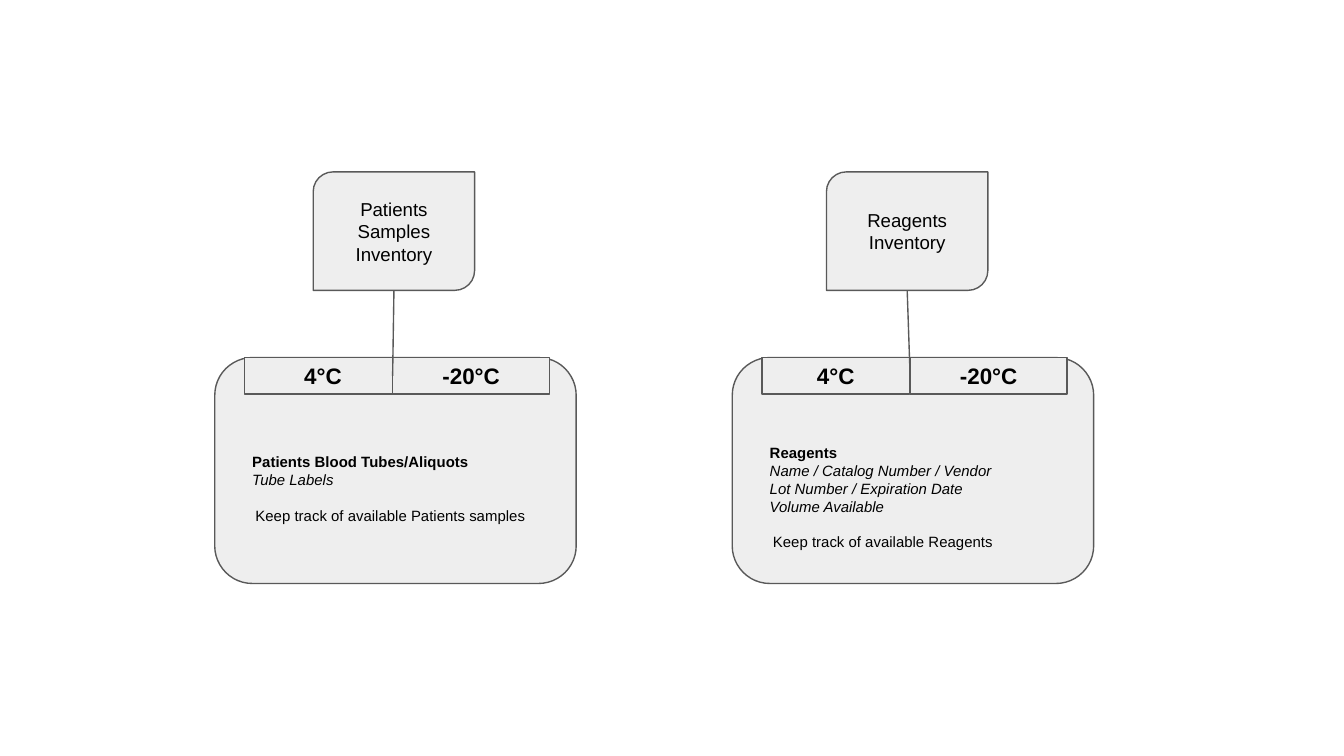
from lxml import etree
from pptx import Presentation
from pptx.dml.color import RGBColor
from pptx.enum import shapes, text
from pptx.oxml import ns
from pptx.util import Cm, Pt

FILL = RGBColor(0xEE, 0xEE, 0xEE)
OUTLINE = RGBColor(0x59, 0x59, 0x59)
BLACK = RGBColor(0, 0, 0)
FONT = "Arial"

# Lengths in centimetres
INVENTORIES = [
    {
        "title": "Patients Samples Inventory",
        "title_left": 5.92,
        "card_left": 4.06,
        "cold_width": 2.97,
        "text_top": 1.59,
        "heading": "Patients Blood Tubes/Aliquots",
        "fields": ["Tube Labels"],
        "purpose": "Keep track of available Patients samples",
    },
    {
        "title": "Reagents Inventory",
        "title_left": 15.62,
        "card_left": 13.84,
        "cold_width": 2.79,
        "text_top": 1.42,
        "heading": "Reagents",
        "fields": [
            "Name / Catalog Number / Vendor",
            "Lot Number / Expiration Date",
            "Volume Available",
        ],
        "purpose": "Keep track of available Reagents",
    },
]

TITLE_TOP, TITLE_WIDTH, TITLE_HEIGHT = 3.25, 3.05, 2.24
CARD_TOP, CARD_WIDTH, CARD_HEIGHT = 6.76, 6.83, 4.27
COLD_OFFSET, FROZEN_OFFSET = 0.56, 3.36
FROZEN_WIDTH, TAB_HEIGHT = 2.97, 0.69
INSET = 0.25
PURPOSE_INDENT = 0.31


def add_box(page, kind, left, top, width, height):
    box = page.shapes.add_shape(kind, Cm(left), Cm(top), Cm(width), Cm(height))
    box.shadow.inherit = False
    box.fill.solid()
    box.fill.fore_color.rgb = FILL
    box.line.color.rgb = OUTLINE
    box.line.width = Pt(0.75)
    frame = box.text_frame
    frame.word_wrap = True
    frame.vertical_anchor = text.MSO_ANCHOR.MIDDLE
    frame.margin_left = frame.margin_right = Cm(INSET)
    frame.margin_top = frame.margin_bottom = Cm(INSET)
    return box


def add_span(para, wording, size, bold=False, italic=False):
    span = para.add_run()
    span.text = wording
    span.font.name = FONT
    span.font.size = Pt(size)
    span.font.bold = bold
    span.font.italic = italic
    span.font.color.rgb = BLACK


def add_label(page, kind, left, top, width, height, wording, size, bold=False):
    """Add a box with one centred line of text."""
    box = add_box(page, kind, left, top, width, height)
    para = box.text_frame.paragraphs[0]
    para.alignment = text.PP_ALIGN.CENTER
    add_span(para, wording, size, bold)
    return box


def add_card(page, inventory):
    card = add_box(page, shapes.MSO_SHAPE.ROUNDED_RECTANGLE,
                   inventory["card_left"], CARD_TOP, CARD_WIDTH, CARD_HEIGHT)
    frame = card.text_frame
    frame.vertical_anchor = text.MSO_ANCHOR.TOP
    frame.margin_top = Cm(inventory["text_top"])
    frame.margin_left = Cm(2 * INSET)

    lines = [(inventory["heading"], True, False)]
    lines += [(field, False, True) for field in inventory["fields"]]
    lines.append((inventory["purpose"], False, False))
    for number, (wording, bold, italic) in enumerate(lines):
        para = frame.add_paragraph() if number else frame.paragraphs[0]
        para.alignment = text.PP_ALIGN.LEFT
        add_span(para, wording, 8, bold, italic)
    frame.margin_left = Cm(INSET)
    for para in frame.paragraphs:
        para._p.get_or_add_pPr().set("marL", str(Cm(INSET)))
    para._p.get_or_add_pPr().set("marL", str(Cm(PURPOSE_INDENT)))
    para.space_before = Pt(9.5)


def join(page, title, tab):
    """Link the bottom of a title to the left side of a tab."""
    line = page.shapes.add_connector(shapes.MSO_CONNECTOR.STRAIGHT, 0, 0, 0, 0)
    line.begin_connect(title, 2)
    line.end_connect(tab, 1)
    line.line.color.rgb = OUTLINE
    line.line.width = Pt(0.75)
    etree.SubElement(line._element.spPr, ns.qn("a:effectLst"))


def add_inventory(page, inventory):
    title = add_label(page, shapes.MSO_SHAPE.ROUND_2_DIAG_RECTANGLE,
                      inventory["title_left"], TITLE_TOP, TITLE_WIDTH,
                      TITLE_HEIGHT, inventory["title"], 10)
    add_card(page, inventory)
    tabs = [
        ("4°C", COLD_OFFSET, inventory["cold_width"]),
        ("-20°C", FROZEN_OFFSET, FROZEN_WIDTH),
    ]
    for wording, offset, width in tabs:
        tab = add_label(page, shapes.MSO_SHAPE.RECTANGLE,
                        inventory["card_left"] + offset, CARD_TOP, width,
                        TAB_HEIGHT, wording, 12, bold=True)
    join(page, title, tab)


def main():
    deck = Presentation()
    deck.slide_width, deck.slide_height = Cm(25.4), Cm(14.29)
    page = deck.slides.add_slide(deck.slide_layouts[6])
    for inventory in INVENTORIES:
        add_inventory(page, inventory)
    deck.save("out.pptx")


if __name__ == "__main__":
    main()
